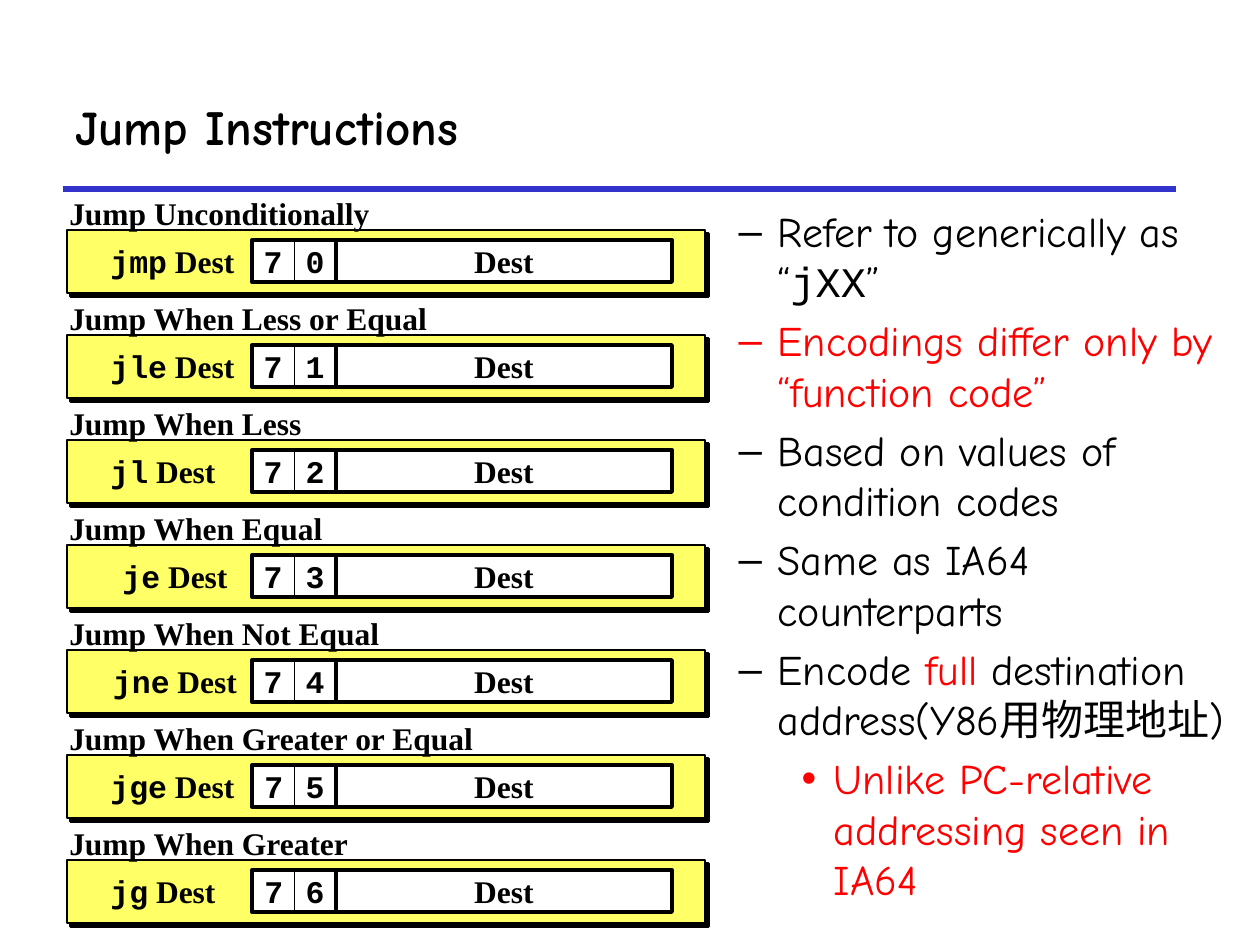
"""Build the Jump Instructions slide: seven encodings beside a list of remarks."""
from lxml.etree import SubElement
from pptx import Presentation
from pptx.dml.color import RGBColor
from pptx.enum.shapes import MSO_CONNECTOR, MSO_SHAPE
from pptx.enum.text import MSO_ANCHOR as Anchor, MSO_AUTO_SIZE as AutoSize, PP_ALIGN as Align
from pptx.oxml.ns import qn
from pptx.util import Inches, Pt

PX = Inches(1) // 126
BLACK = RGBColor(0x00, 0x00, 0x00)
WHITE = RGBColor(0xFF, 0xFF, 0xFF)
YELLOW = RGBColor(0xFF, 0xFF, 0x66)
RED = RGBColor(0xFF, 0x00, 0x00)
BLUE = RGBColor(0x33, 0x33, 0xCC)
COMIC, MONO, SERIF = "Comic Neue", "Courier New", "Times New Roman"

ROW_PITCH = 105
JUMPS = [
    ("Jump Unconditionally", 328, "jmp", Align.LEFT, Align.CENTER),
    ("Jump When Less or Equal", 392, "jle", Align.LEFT, Align.CENTER),
    ("Jump When Less", 263, "jl", Align.LEFT, Align.CENTER),
    ("Jump When Equal", 276, "je", Align.CENTER, Align.CENTER),
    ("Jump When Not Equal", 341, "jne", Align.CENTER, Align.CENTER),
    ("Jump When Greater or Equal", 445, "jge", Align.LEFT, Align.LEFT),
    ("Jump When Greater", 316, "jg", Align.LEFT, Align.LEFT),
]
REMARKS = [
    (1, [("Refer to generically as “", COMIC, BLACK), ("jXX", MONO, BLACK), ("”", COMIC, BLACK)]),
    (1, [("Encodings differ only by “function code”", COMIC, RED)]),
    (1, [("Based on values of condition codes", COMIC, BLACK)]),
    (1, [("Same as IA64 counterparts", COMIC, BLACK)]),
    (1, [("Encode ", COMIC, BLACK), ("full", COMIC, RED),
         (" destination address(Y86用物理地址)", COMIC, BLACK)]),
    (2, [("Unlike PC-relative addressing seen in IA64", COMIC, RED)]),
]
BULLETS = {1: ("–", 102, -39), 2: ("•", 158, -32)}


def add_box(group, left, top, width, height, fill, line_width):
    box = group.shapes.add_shape(MSO_SHAPE.RECTANGLE, left * PX, top * PX, width * PX, height * PX)
    box.shadow.inherit = False
    if fill is None:
        box.fill.background()
    else:
        box.fill.solid()
        box.fill.fore_color.rgb = fill
    box.line.color.rgb = BLACK
    box.line.width = Pt(line_width)
    return box


def write(shape, text, face, align, anchor=Anchor.MIDDLE):
    frame = shape.text_frame
    frame.word_wrap = False
    frame.vertical_anchor = anchor
    paragraph = frame.paragraphs[0]
    paragraph.text = text
    paragraph.alignment = align
    paragraph.font.name = face
    paragraph.font.size = Pt(18)
    paragraph.font.bold = True
    paragraph.font.color.rgb = BLACK
    return paragraph


deck = Presentation()
deck.slide_width, deck.slide_height = Inches(10), Inches(7.5)
slide = deck.slides.add_slide(deck.slide_layouts[1])

title = slide.shapes.title
title.left, title.top, title.width, title.height = 63 * PX, 63 * PX, 1113 * PX, 126 * PX
title.text_frame.text = "Jump Instructions"
title.text_frame.vertical_anchor = Anchor.MIDDLE
title.text_frame.auto_size = AutoSize.NONE
heading = title.text_frame.paragraphs[0]
heading.alignment = Align.LEFT
heading.font.name = COMIC
heading.font.size = Pt(28)
heading.font.bold = True
heading.font.color.rgb = BLACK

rule = slide.shapes.add_connector(MSO_CONNECTOR.STRAIGHT, 63 * PX, 189 * PX, 1176 * PX, 189 * PX)
rule.line.color.rgb = BLUE
rule.line.width = Pt(3)
SubElement(rule._element.spPr, qn("a:effectLst"))

remarks = slide.placeholders[1]
remarks.left, remarks.top, remarks.width, remarks.height = 663 * PX, 199 * PX, 597 * PX, 719 * PX
remarks.text_frame.auto_size = AutoSize.NONE
for index, (level, runs) in enumerate(REMARKS):
    remark = remarks.text_frame.add_paragraph() if index else remarks.text_frame.paragraphs[0]
    remark.level = level
    mark, margin, indent = BULLETS[level]
    properties = remark._p.get_or_add_pPr()
    properties.set("marL", str(margin * PX))
    properties.set("indent", str(indent * PX))
    SubElement(properties, qn("a:buChar"), char=mark)
    remark.space_before = Pt(5 if index else 0)
    remark.font.size = Pt(24)
    for text, face, color in runs:
        run = remark.add_run()
        run.text = text
        run.font.name = face
        run.font.color.rgb = color

for code, (meaning, meaning_width, mnemonic, mnemonic_align, opcode_align) in enumerate(JUMPS):
    top = 188 + code * ROW_PITCH
    cell_top = top + 52
    row = slide.shapes.add_group_shape()

    band = add_box(row, 67, top + 42, 638, 63, YELLOW, 1.5)
    effects = band._element.spPr.find(qn("a:effectLst"))
    shadow = SubElement(effects, qn("a:outerShdw"), dist=str(Pt(2.8)), dir="2700000", algn="ctr", rotWithShape="0")
    SubElement(shadow, qn("a:srgbClr"), val=str(BLACK))

    instruction = row.shapes.add_textbox(98 * PX, cell_top * PX, 154 * PX, 42 * PX)
    operand = write(instruction, mnemonic, MONO, mnemonic_align).add_run()
    operand.text = " Dest"
    operand.font.name = SERIF

    write(add_box(row, 252, cell_top, 42, 42, WHITE, 0.5), "7", MONO, opcode_align)
    write(add_box(row, 294, cell_top, 42, 42, WHITE, 0.5), str(code), MONO, Align.CENTER)
    add_box(row, 252, cell_top, 84, 42, None, 2.25)

    label = row.shapes.add_textbox(63 * PX, top * PX, meaning_width * PX, 52 * PX)
    write(label, meaning, SERIF, Align.LEFT, Anchor.TOP)
    label.text_frame.auto_size = AutoSize.SHAPE_TO_FIT_TEXT
    label.text_frame.margin_left = label.text_frame.margin_right = Inches(0.05)

    write(add_box(row, 336, cell_top, 336, 42, WHITE, 2.25), "Dest", SERIF, Align.CENTER)

deck.save("out.pptx")
